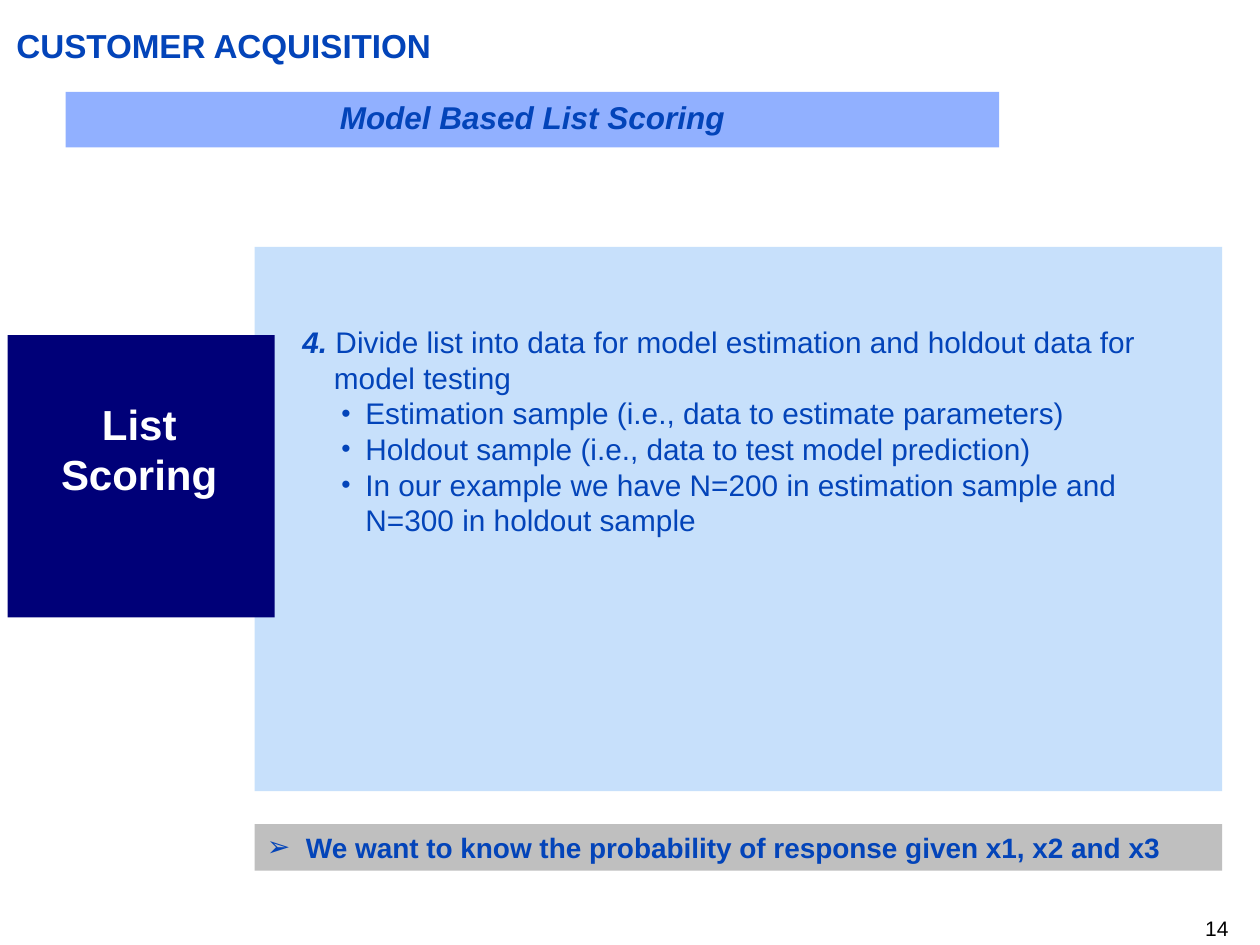
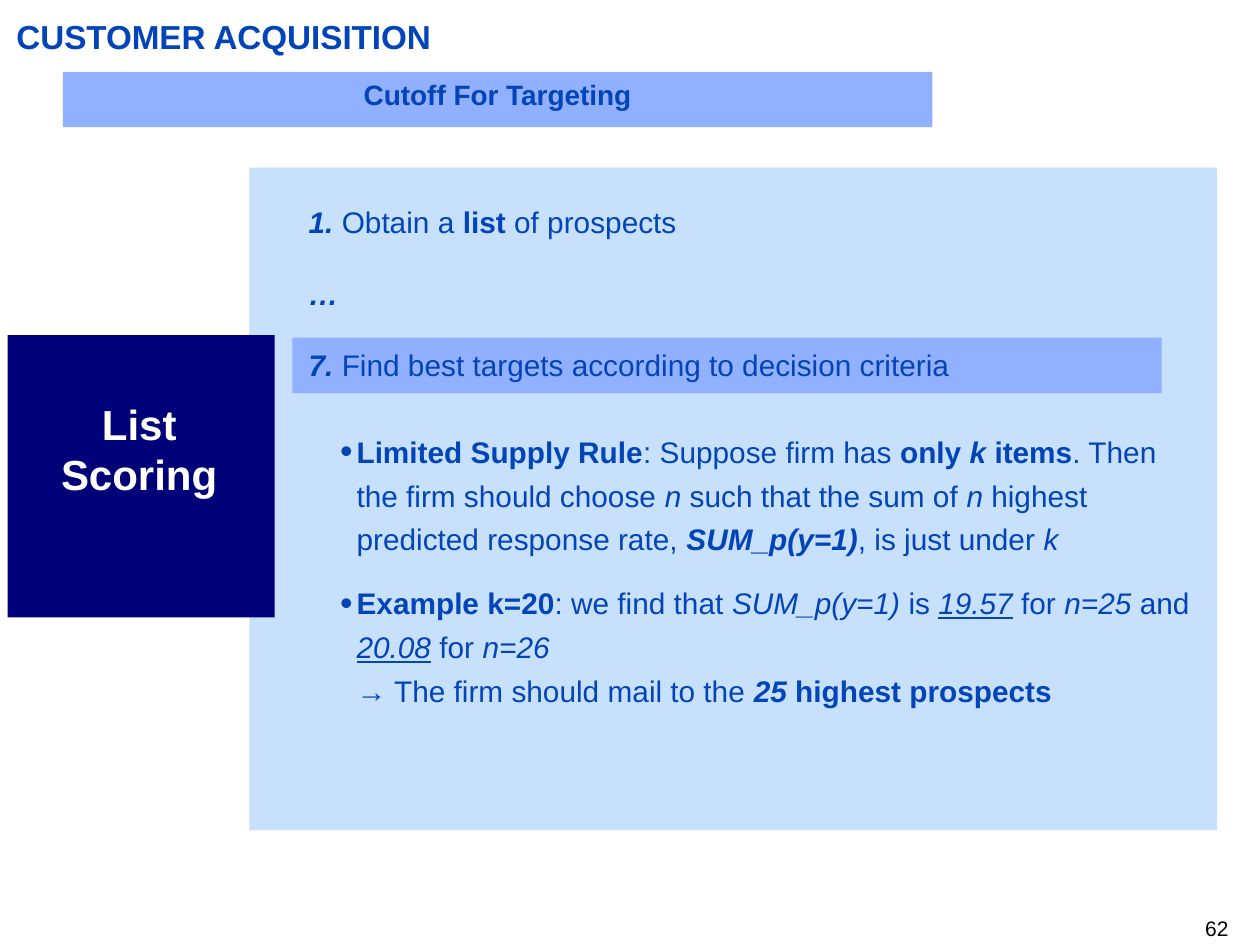
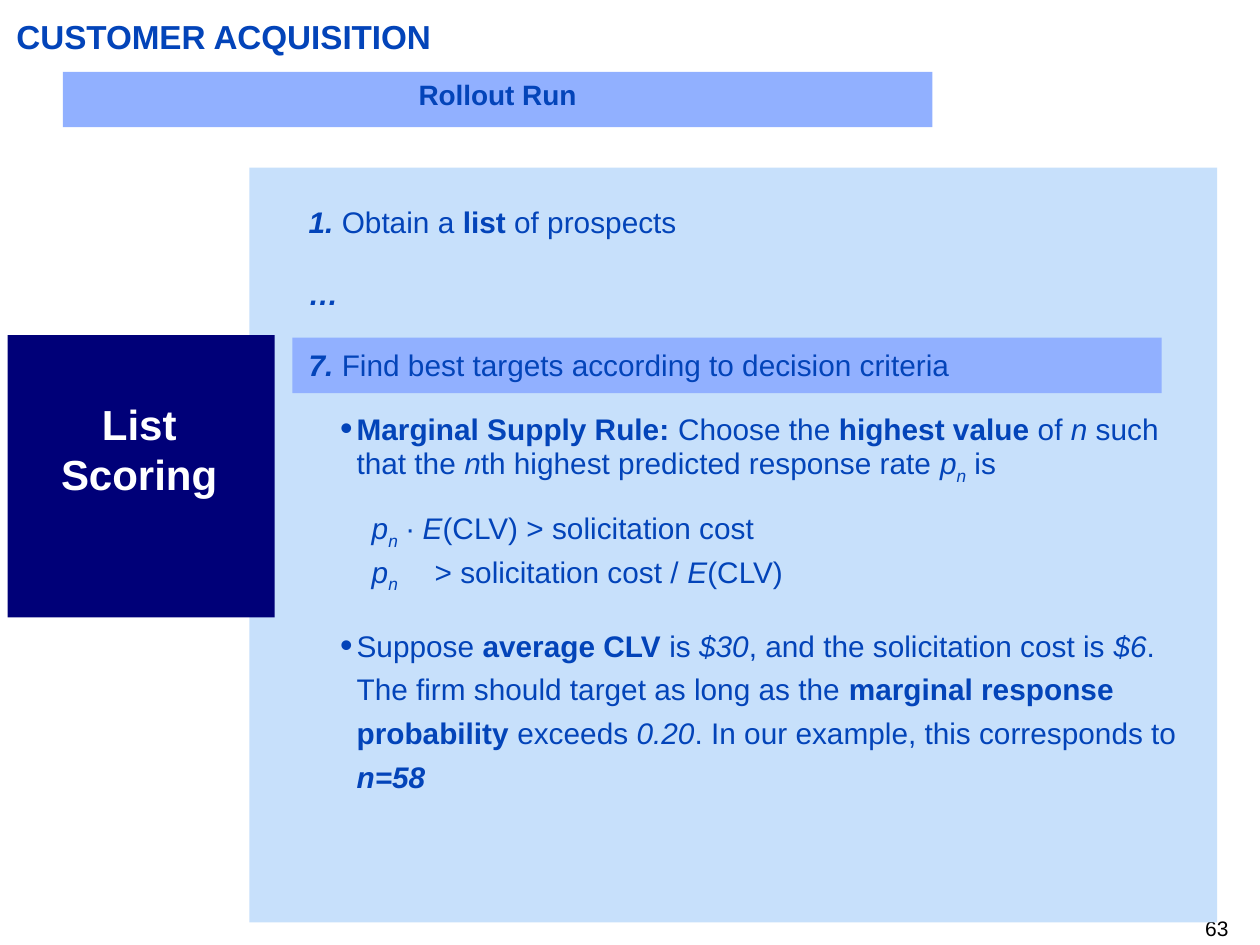
from dataclasses import dataclass
from typing import Iterator, NamedTuple

from lxml import etree
from pptx import Presentation
from pptx.dml.color import RGBColor
from pptx.enum.shapes import MSO_SHAPE
from pptx.enum.text import MSO_ANCHOR, PP_ALIGN
from pptx.oxml.ns import qn
from pptx.util import Emu, Inches, Pt

RECT = MSO_SHAPE.RECTANGLE
TOP = MSO_ANCHOR.TOP
LEFT, MID, RIGHT = PP_ALIGN.LEFT, PP_ALIGN.CENTER, PP_ALIGN.RIGHT
FONT = "Arial"
INK = {"text": "0344B9", "panel": "C7E0FB", "bar": "91B0FF", "tag": "000078",
       "note": "BFBFBF", "white": "FFFFFF", "black": "000000"}

WIDE, HIGH = Inches(10), Inches(7.5)
CELL = WIDE // 100  # the grid has 100 columns and 75 rows of square cells
LEAD = 1.2          # line height as a share of the type size
LOOSE = 25          # line height of the rules, in points
SKIP = 20.4         # one body line left free, in points

# Each sign switches one format on or off inside a text.
SIGNS = {"*": "bold", "~": "italic", "^": "underline", "|": "sub"}


class Box(NamedTuple):
    """Place on the grid, in columns and rows."""
    x: float
    y: float
    w: float
    h: float


@dataclass
class Para:
    text: str
    gap: float = 0      # points before
    lead: float = 0     # line height in points, 0 for the usual share
    left: float = 0     # indent in columns
    hang: float = 0
    mark: str = ""
    scale: int = 100    # size of the mark in percent
    tabs: tuple[float, ...] = ()


@dataclass
class Page:
    num: int
    head: str
    size: int           # type size of the head
    title: float        # row of the title
    bar: Box
    panel: Box
    body: Box
    paras: list[Para]
    note: str = ""
    step: bool = True   # highlight behind the current step


def span(cells: float) -> Emu:
    return Emu(round(cells * CELL))


def parts(text: str) -> Iterator[tuple[str, frozenset]]:
    """Cut a text at its signs into pieces with their formats."""
    live, piece = frozenset(), ""
    for char in text:
        if char in SIGNS:
            if piece:
                yield piece, live
            live, piece = live ^ {SIGNS[char]}, ""
        else:
            piece += char
    if piece:
        yield piece, live


def style(para, item: Para) -> None:
    """Set indent, mark and tab stops."""
    props = para._p.get_or_add_pPr()
    props.set("marL", str(span(item.left)))
    props.set("indent", str(span(-item.hang)))
    if item.mark:
        for tag, key, val in (("buSzPct", "val", str(item.scale * 1000)),
                              ("buFont", "typeface", FONT),
                              ("buChar", "char", item.mark)):
            etree.SubElement(props, qn("a:" + tag)).set(key, val)
    if item.tabs:
        stops = etree.SubElement(props, qn("a:tabLst"))
        for stop in item.tabs:
            tab = etree.SubElement(stops, qn("a:tab"))
            tab.set("pos", str(span(stop)))
            tab.set("algn", "l")


def write(shape, paras: list[Para], *, size: int = 17, ink: str = "text",
          align=LEFT, pad: tuple[float, float] = (0, 0)) -> None:
    frame = shape.text_frame
    frame.word_wrap = True
    frame.vertical_anchor = TOP
    frame.margin_left = frame.margin_right = span(pad[0])
    frame.margin_top = frame.margin_bottom = span(pad[1])
    for i, item in enumerate(paras):
        para = frame.add_paragraph() if i else frame.paragraphs[0]
        style(para, item)
        para.alignment = align
        para.line_spacing = Pt(item.lead or size * LEAD)
        para.space_before = Pt(item.gap)
        for piece, live in parts(item.text):
            run = para.add_run()
            run.text = piece
            font = run.font
            font.name, font.size = FONT, Pt(size)
            font.color.rgb = RGBColor.from_string(INK[ink])
            font.bold, font.italic = "bold" in live, "italic" in live
            font.underline = "underline" in live
            if "sub" in live:
                run._r.get_or_add_rPr().set("baseline", "-25000")


def block(slide, box: Box, ink: str):
    shape = slide.shapes.add_shape(RECT, *map(span, box))
    shape.shadow.inherit = False
    shape.fill.solid()
    shape.fill.fore_color.rgb = RGBColor.from_string(INK[ink])
    shape.line.fill.background()
    return shape


def label(slide, box: Box, paras: list[Para], **form) -> None:
    write(slide.shapes.add_textbox(*map(span, box)), paras, **form)


def draw(deck, page: Page) -> None:
    slide = deck.slides.add_slide(deck.slide_layouts[6])
    label(slide, Box(76.7, 72.7, 20.8, 2), [Para(str(page.num))],
          size=12, ink="black", align=RIGHT)
    block(slide, page.panel, "panel")
    block(slide, Box(0.6, 26.6, 21.2, 22.4), "tag")
    label(slide, Box(1.9, 31.1, 18.3, 9.1), [Para("*List Scoring*")],
          size=24, ink="white", align=MID, pad=(1, 0.5))
    if page.step:
        block(slide, Box(23.2, 26.8, 69, 4.4), "bar")
    label(slide, page.body, page.paras)
    label(slide, Box(1.3, page.title, 96.2, 3.2), [Para("*CUSTOMER ACQUISITION*")], size=19)
    write(block(slide, page.bar, "bar"), [Para(page.head)],
          size=page.size, align=MID, pad=(1, 0.5))
    if page.note:
        write(block(slide, Box(20.2, 65.4, 76.8, 3.7), "note"),
              [Para(page.note, left=3.1, hang=3.1, mark="➢")], size=16, pad=(1, 0.5))


def point(text: str) -> Para:
    return Para(text, left=5, hang=1.9, mark="•", scale=89)


def rule(text: str, gap: float, lead: float = LOOSE) -> Para:
    return Para(text, gap, lead, left=3.8, hang=1.3, mark="•", scale=120)


def sum_line(text: str, gap: float = 0) -> Para:
    """One line of the formula, set on tab stops."""
    return Para("\t" + text, gap, LOOSE, tabs=(17, 29.3))


def steps(num: int, head: str, depth: float, paras: list[Para]) -> Page:
    """A page on step 7, with its rules below the list of steps."""
    top = [Para("*~1.~* Obtain a *list* of prospects"),
           Para("*~…~*", SKIP),
           Para("*~7.~* Find best targets according to decision criteria", SKIP)]
    return Page(num, head, 16, 1.3, Box(5, 5.7, 69, 4.4),
                Box(19.8, 13.3, 76.8, depth), Box(24.5, 16.2, 71.1, 46.3), top + paras)


PAGES = [
    Page(14, "*~Model Based List Scoring~*", 18, 2, Box(5.2, 7.3, 74.1, 4.4),
         Box(20.2, 19.6, 76.8, 43.2), Box(24, 25.7, 71.1, 21.3), [
             Para("*~4.~* Divide list into data for model estimation and holdout "
                  "data for model testing", left=2.5, hang=2.5),
             point("Estimation sample (i.e., data to estimate parameters)"),
             point("Holdout sample (i.e., data to test model prediction)"),
             point("In our example we have N=200 in estimation sample and "
                   "N=300 in holdout sample")],
         note="*We want to know the probability of response given x1, x2 and x3*",
         step=False),
    steps(62, "*Cutoff For Targeting*", 52.6, [
        rule("*Limited Supply Rule*: Suppose firm has *only ~k~ items*. Then the firm "
             "should choose ~n ~such that the sum of ~n~ highest predicted response "
             "rate, *~SUM_p(y=1)~*, is just under ~k~", 24.7),
        rule("*Example k=20*: we find that ~SUM_p(y=1) ~is ~^19.57^~ for ~n=25~ and "
             "~^20.08^~ for ~n=26~", 11.6),
        Para("→ The firm should mail to the *~25 ~highest prospects*",
             lead=LOOSE, left=3.8)]),
    steps(63, "*Rollout Run*", 59.9, [
        rule("*Marginal Supply Rule: *Choose the *highest value *of ~n~ such that the "
             "~n~th highest predicted response rate ~p|n|~ is", 14.3, 22.3),
        sum_line("~p|n|~ ∙ ~E~(CLV) > solicitation cost", 12.1),
        sum_line("~p|n|~\t> solicitation cost / ~E~(CLV)"),
        rule("Suppose *average CLV *is ~$30~, and the solicitation cost is ~$6~. The "
             "firm should target as long as the *marginal response probability* exceeds "
             "~0.20~. In our example, this corresponds to *~n=58~*", 14.4)]),
]


def main() -> None:
    deck = Presentation()
    deck.slide_width, deck.slide_height = WIDE, HIGH
    for page in PAGES:
        draw(deck, page)
    deck.save("out.pptx")


if __name__ == "__main__":
    main()
